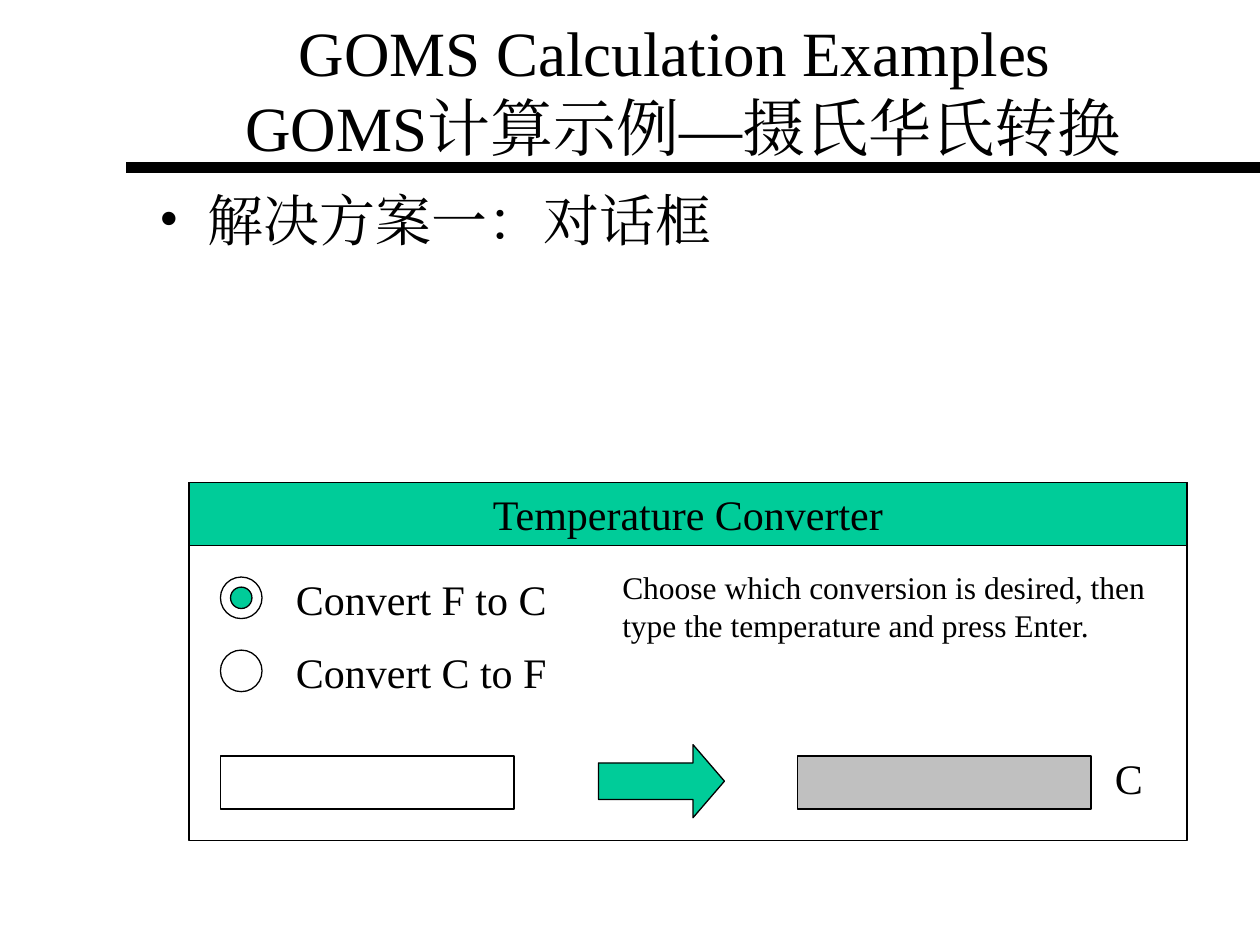
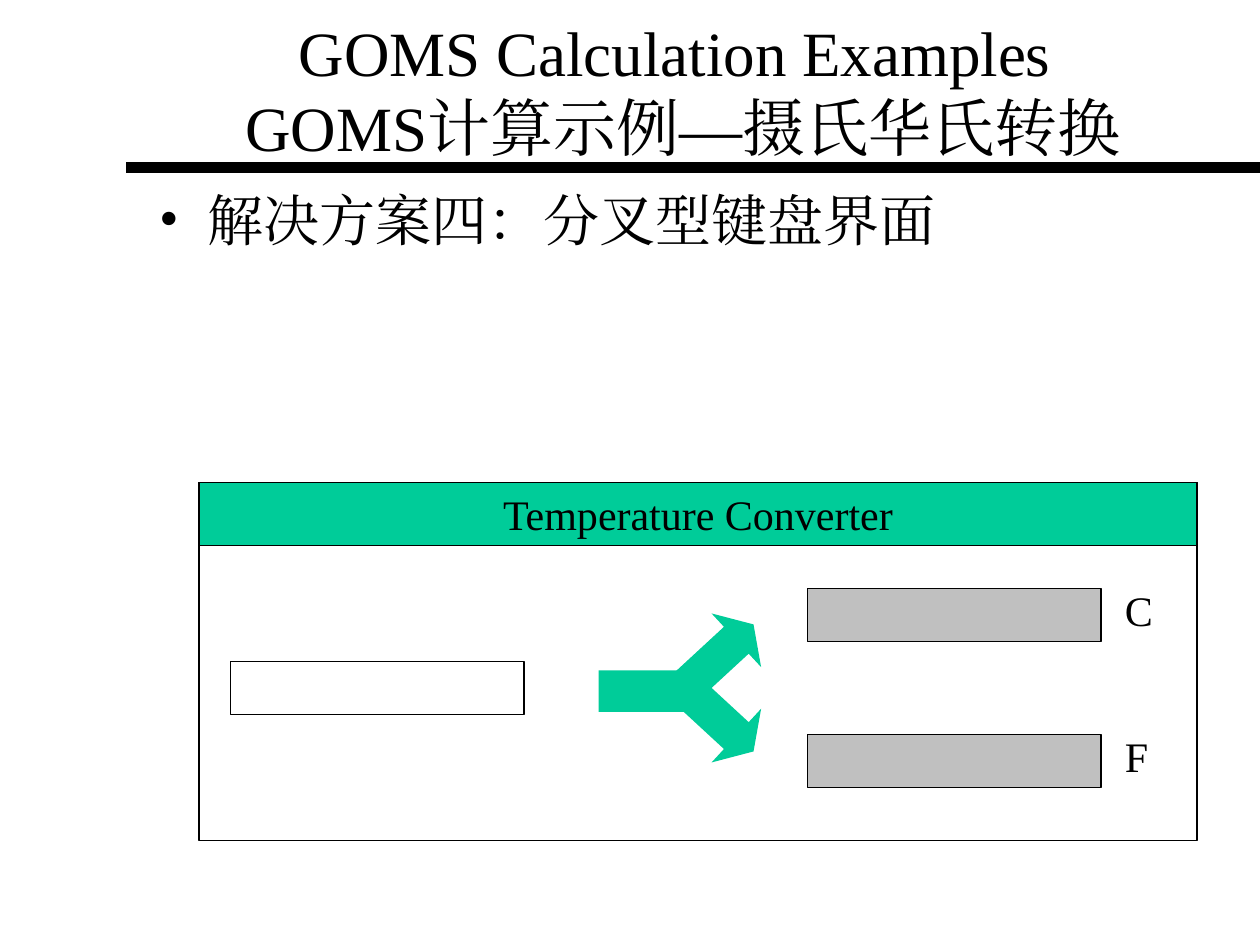
"""Build two slides comparing temperature converter interfaces for GOMS."""
from lxml.etree import SubElement
from pptx import Presentation
from pptx.dml.color import RGBColor
from pptx.enum.shapes import MSO_CONNECTOR, MSO_SHAPE
from pptx.enum.text import MSO_ANCHOR, PP_ALIGN
from pptx.oxml.ns import qn
from pptx.util import Inches, Pt

COLORS = {"ink": "000000", "accent": "00CC99", "output": "C0C0C0"}
FONT = "Times New Roman"
TITLE = "GOMS Calculation Examples \vGOMS计算示例—摄氏华氏转换"
WINDOW_TITLE = "Temperature Converter"
DIALOG = {
    "heading": "解决方案一：对话框",
    "left": 1.5,
    "input_top": 6,
    "outputs": [("C", 6)],
}
FORKED = {
    "heading": "解决方案四：分叉型键盘界面",
    "left": 1.58,
    "input_top": 5.25,
    "outputs": [("C", 4.67), ("F", 5.83)],
}
CHOICES = [("Convert F to C", True), ("Convert C to F", False)]
HELP = "Choose which conversion is desired, then type the temperature and press Enter."
BRANCHES = [(4.92, -42.7), (5.42, 42.7)]

WINDOW_TOP, WINDOW_WIDTH, WINDOW_HEIGHT, BAR_HEIGHT = 3.83, 7.92, 2.84, 0.5
FIELD_WIDTH, FIELD_HEIGHT = 2.33, 0.42
RADIO, DOT, CHOICE_TOP, CHOICE_STEP = 0.33, 0.17, 4.58, 0.58


def color(name):
    return RGBColor.from_string(COLORS[name])


def style(frame, size, align=PP_ALIGN.LEFT):
    for paragraph in frame.paragraphs:
        paragraph.alignment = align
        for run in paragraph.runs:
            run.font.size = Pt(size)
            run.font.name = FONT
            run.font.color.rgb = color("ink")
            SubElement(run.font._element, qn("a:ea"), typeface=FONT)


def add_part(slide, kind, left, top, width, height, fill=None, outlined=True):
    part = slide.shapes.add_shape(
        kind, Inches(left), Inches(top), Inches(width), Inches(height))
    part.shadow.inherit = False
    if fill:
        part.fill.solid()
        part.fill.fore_color.rgb = color(fill)
    else:
        part.fill.background()
    if outlined:
        part.line.color.rgb = color("ink")
        part.line.width = Pt(0.75)
    else:
        part.line.fill.background()
    return part


def add_label(slide, text, left, top, width, height, size=24):
    label = slide.shapes.add_textbox(
        Inches(left), Inches(top), Inches(width), Inches(height))
    frame = label.text_frame
    frame.word_wrap = True
    frame.text = text
    style(frame, size)
    return frame


def add_heading(slide, text):
    frame = add_label(slide, text, 1.17, 1.42, 8.5, 0.8, 32)
    properties = frame.paragraphs[0]._p.get_or_add_pPr()
    properties.set("marL", str(Inches(0.38)))
    properties.set("indent", str(Inches(-0.38)))
    SubElement(properties, qn("a:buFont"), typeface=FONT)
    SubElement(properties, qn("a:buChar"), char="•")


def add_frame(deck, heading):
    slide = deck.slides.add_slide(deck.slide_layouts[5])
    title = slide.shapes.title
    title.left, title.top = Inches(1.17), Inches(0.08)
    title.width, title.height = Inches(8.5), Inches(1.25)
    title.text_frame.text = TITLE
    title.text_frame.vertical_anchor = MSO_ANCHOR.MIDDLE
    style(title.text_frame, 36, PP_ALIGN.CENTER)
    add_heading(slide, heading)
    rule = slide.shapes.add_connector(
        MSO_CONNECTOR.STRAIGHT, Inches(1), Inches(1.33), Inches(10), Inches(1.33))
    rule.line.color.rgb = color("ink")
    rule.line.width = Pt(6)
    SubElement(rule._element.spPr, qn("a:effectLst"))
    return slide


def add_window(slide, left, input_top, outputs):
    box = MSO_SHAPE.RECTANGLE
    add_part(slide, box, left, WINDOW_TOP, WINDOW_WIDTH, WINDOW_HEIGHT)
    bar = add_part(slide, box, left, WINDOW_TOP, WINDOW_WIDTH, BAR_HEIGHT, "accent")
    bar.text_frame.text = WINDOW_TITLE
    bar.text_frame.vertical_anchor = MSO_ANCHOR.MIDDLE
    style(bar.text_frame, 24, PP_ALIGN.CENTER)
    add_part(slide, box, left + 0.25, input_top, FIELD_WIDTH, FIELD_HEIGHT)
    for unit, top in outputs:
        add_part(slide, box, left + 4.83, top, FIELD_WIDTH, FIELD_HEIGHT, "output")
        add_label(slide, unit, left + 7.25, top - 0.08, 0.42, 0.5)


def add_choices(slide):
    inset = (RADIO - DOT) / 2
    for row, (choice, selected) in enumerate(CHOICES):
        top = CHOICE_TOP + row * CHOICE_STEP
        add_part(slide, MSO_SHAPE.OVAL, 1.75, top, RADIO, RADIO)
        if selected:
            add_part(slide, MSO_SHAPE.OVAL, 1.75 + inset, top + inset, DOT, DOT, "accent")
        add_label(slide, choice, 2.25, top - 0.08, 2.25, 0.5)


def add_arrow(slide, left, top, width, head, outlined):
    arrow = add_part(
        slide, MSO_SHAPE.RIGHT_ARROW, left, top, width, 0.58, "accent", outlined)
    arrow.adjustments[1] = head
    return arrow


def add_slide(deck, design):
    slide = add_frame(deck, design["heading"])
    add_window(slide, design["left"], design["input_top"], design["outputs"])
    return slide


def main():
    deck = Presentation()
    deck.slide_width, deck.slide_height = Inches(10), Inches(7.5)

    dialog = add_slide(deck, DIALOG)
    add_choices(dialog)
    add_arrow(dialog, 4.75, 5.91, 1, 0.43, True)
    add_label(dialog, HELP, 4.84, 4.46, 4.49, 0.7, 18)

    forked = add_slide(deck, FORKED)
    for top, angle in BRANCHES:
        add_arrow(forked, 5.33, top, 0.75, 0.32, False).rotation = angle
    add_part(forked, MSO_SHAPE.RECTANGLE, 4.75, 5.32, 0.75, 0.33, "accent", False)

    deck.save("out.pptx")


if __name__ == "__main__":
    main()
